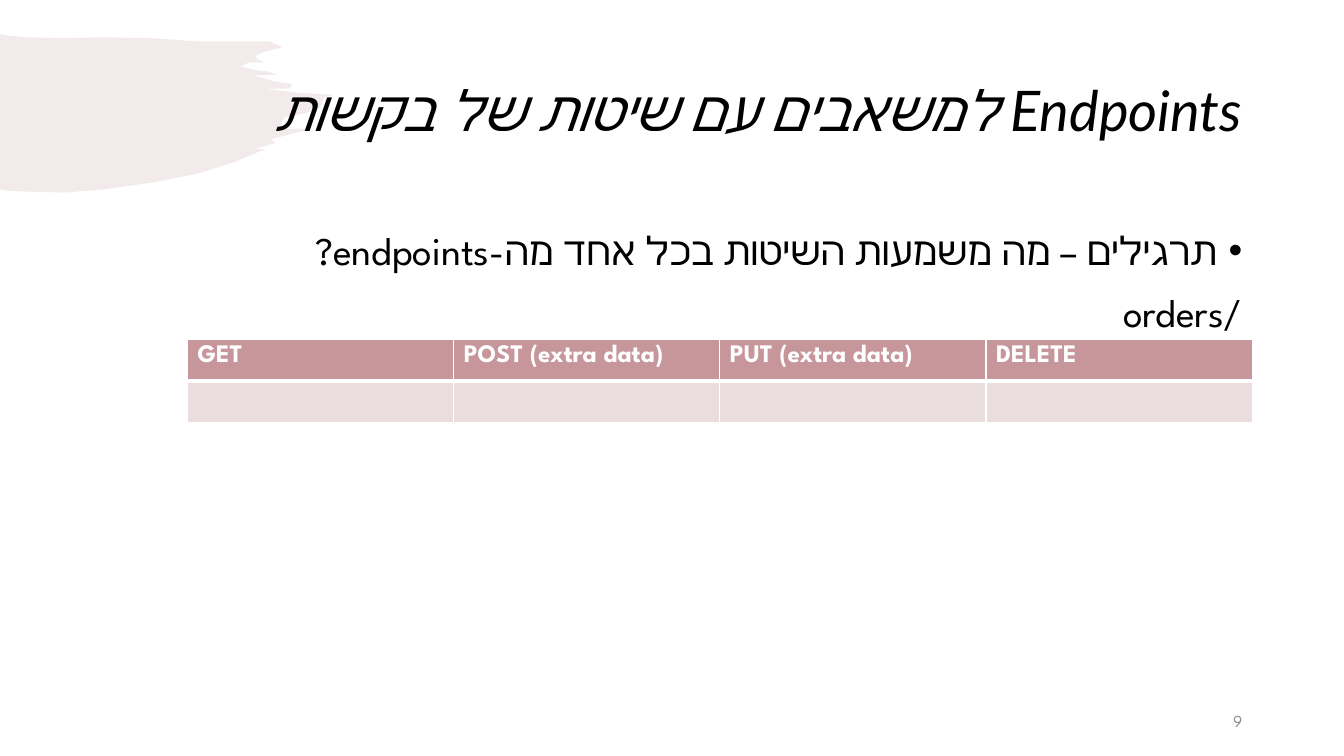
import dataclasses
import typing

import lxml.etree
import pptx
import pptx.dml.color
import pptx.enum.text
import pptx.oxml
import pptx.oxml.ns
import pptx.util

RGBColor = pptx.dml.color.RGBColor
Inches = pptx.util.Inches
Pt = pptx.util.Pt
qn = pptx.oxml.ns.qn
Anchor = pptx.enum.text.MSO_ANCHOR
RIGHT = pptx.enum.text.PP_ALIGN.RIGHT

BLACK = RGBColor(0x00, 0x00, 0x00)
WHITE = RGBColor(0xFF, 0xFF, 0xFF)
GRAY = RGBColor(0x8C, 0x8C, 0x8C)
ROSE = RGBColor(0xC6, 0x96, 0x9B)
PALE_ROSE = RGBColor(0xEA, 0xDD, 0xDE)

SLIDE_WIDTH, SLIDE_HEIGHT = 13.33, 7.5
MARGIN = 0.92
CONTENT_WIDTH = 11.5
CONTENT_RIGHT = MARGIN + CONTENT_WIDTH
COLUMN_WIDTH, ROW_HEIGHT = 2.64, 0.41
METHODS = ["GET", "POST (extra data)", "PUT (extra data)", "DELETE"]

BRUSH_OUTLINE = [
    (0, 0.34), (0.06, 0.35), (0.25, 0.37), (0.66, 0.38), (1.02, 0.37), (1.51, 0.38),
    (1.94, 0.41), (2.48, 0.41), (2.67, 0.41), (2.8, 0.47), (2.71, 0.49), (2.55, 0.54),
    (2.53, 0.57), (2.56, 0.59), (2.62, 0.62), (2.47, 0.62), (2.38, 0.66), (2.46, 0.68),
    (2.56, 0.7), (2.66, 0.71), (2.75, 0.74), (2.51, 0.75), (2.63, 0.78), (2.73, 0.81),
    (2.8, 0.82), (2.88, 0.83), (2.9, 0.85), (2.87, 0.88), (2.84, 0.88), (2.63, 0.88),
    (2.95, 0.92), (3.3, 0.94), (3.21, 0.97), (3.18, 1.06), (3.07, 1.11), (3, 1.13),
    (2.83, 1.16), (2.8, 1.2), (2.78, 1.25), (2.74, 1.28), (3.08, 1.28), (2.69, 1.38),
    (2.73, 1.42), (2.52, 1.48), (2.63, 1.48), (2.32, 1.61), (1.97, 1.72), (1.52, 1.81),
    (1.02, 1.88), (0.65, 1.91), (0.23, 1.9), (0.07, 1.89), (0, 1.88),
]


@dataclasses.dataclass(frozen=True)
class TextStyle:
    size: float
    color: RGBColor
    font: str = "League Spartan"
    bold: bool = False
    italic: bool = False


@dataclasses.dataclass(frozen=True)
class Box:
    left: float
    top: float
    width: float
    height: float

    def emu(self) -> typing.List[int]:
        return [Inches(value) for value in dataclasses.astuple(self)]


TITLE_STYLE = TextStyle(40, BLACK, font="Lato", italic=True)
BODY_STYLE = TextStyle(28, BLACK)
HEADER_STYLE = TextStyle(18, WHITE, bold=True)
NUMBER_STYLE = TextStyle(12, GRAY)


def format_paragraph(paragraph, style: TextStyle) -> None:
    for run in paragraph.runs:
        run.font.size = Pt(style.size)
        run.font.name = style.font
        run.font.bold = style.bold
        run.font.italic = style.italic
        run.font.color.rgb = style.color
        complex_font = lxml.etree.SubElement(run.font._element, qn("a:cs"))
        complex_font.set("typeface", style.font)


def set_right_to_left(paragraph) -> None:
    paragraph.alignment = RIGHT
    paragraph._p.get_or_add_pPr().set("rtl", "1")


def add_bullet(paragraph, indent: float) -> None:
    properties = paragraph._p.get_or_add_pPr()
    properties.set("marL", str(Inches(indent)))
    properties.set("indent", str(-Inches(indent)))
    lxml.etree.SubElement(properties, qn("a:buFont")).set("typeface", "Arial")
    lxml.etree.SubElement(properties, qn("a:buChar")).set("char", "•")


def add_brush(slide) -> None:
    points = [(Inches(x), Inches(y)) for x, y in BRUSH_OUTLINE]
    builder = slide.shapes.build_freeform(*points[0])
    builder.add_line_segments(points[1:], close=True)
    brush = builder.convert_to_shape()
    brush.shadow.inherit = False
    brush.line.fill.background()
    brush.fill.solid()
    brush.fill.fore_color.rgb = ROSE
    color = brush._element.spPr.find(qn("a:solidFill")).find(qn("a:srgbClr"))
    lxml.etree.SubElement(color, qn("a:alpha")).set("val", "20000")
    slide.shapes._spTree.insert(2, brush._element)


def set_title(slide, text: str, box: Box) -> None:
    title = slide.shapes.title
    title.left, title.top, title.width, title.height = box.emu()
    title.text_frame.text = text
    title.text_frame.vertical_anchor = Anchor.MIDDLE
    paragraph = title.text_frame.paragraphs[0]
    paragraph.line_spacing = 0.9
    set_right_to_left(paragraph)
    format_paragraph(paragraph, TITLE_STYLE)


def add_text(slide, text: str, box: Box, style: TextStyle, anchor=Anchor.TOP):
    frame = slide.shapes.add_textbox(*box.emu()).text_frame
    frame.word_wrap = True
    frame.vertical_anchor = anchor
    frame.text = text
    for paragraph in frame.paragraphs:
        paragraph.alignment = RIGHT
        format_paragraph(paragraph, style)
    return frame


def add_exercise(slide, text: str, box: Box) -> None:
    frame = add_text(slide, text, box, BODY_STYLE)
    for paragraph in frame.paragraphs:
        paragraph.space_before = Pt(10)
        set_right_to_left(paragraph)
    add_bullet(frame.paragraphs[0], 0.25)


def set_cell(cell, fill: RGBColor, bottom_border: float) -> None:
    properties = cell._tc.get_or_add_tcPr()
    for side, width in (("L", 1), ("R", 1), ("T", 1), ("B", bottom_border)):
        border = lxml.etree.SubElement(properties, qn(f"a:ln{side}"), w=str(Pt(width)))
        border_fill = lxml.etree.SubElement(border, qn("a:solidFill"))
        lxml.etree.SubElement(border_fill, qn("a:srgbClr"), val=str(WHITE))
    cell.fill.solid()
    cell.fill.fore_color.rgb = fill


def add_methods_table(slide, left: float, top: float) -> None:
    box = Box(left, top, COLUMN_WIDTH * len(METHODS), ROW_HEIGHT * 2)
    table = slide.shapes.add_table(2, len(METHODS), *box.emu()).table
    for index, method in enumerate(METHODS):
        header, answer = table.cell(0, index), table.cell(1, index)
        header.text_frame.text = method
        format_paragraph(header.text_frame.paragraphs[0], HEADER_STYLE)
        set_cell(header, ROSE, 3)
        set_cell(answer, PALE_ROSE, 1)


def main() -> None:
    presentation = pptx.Presentation()
    presentation.slide_width = Inches(SLIDE_WIDTH)
    presentation.slide_height = Inches(SLIDE_HEIGHT)
    slide = presentation.slides.add_slide(presentation.slide_layouts[5])
    add_brush(slide)
    set_title(slide, "Endpoints למשאבים עם שיטות של בקשות",
              Box(MARGIN, 0.4, CONTENT_WIDTH, 1.45))
    add_exercise(slide, "תרגילים – מה משמעות השיטות בכל אחד מה-endpoints?\n/orders",
                 Box(MARGIN, 2.2, CONTENT_WIDTH, 4.55))
    add_text(slide, "9", Box(CONTENT_RIGHT - 3, 6.95, 3, 0.4), NUMBER_STYLE, Anchor.MIDDLE)
    add_methods_table(slide, CONTENT_RIGHT - COLUMN_WIDTH * len(METHODS), 3.37)
    presentation.save("out.pptx")


main()
